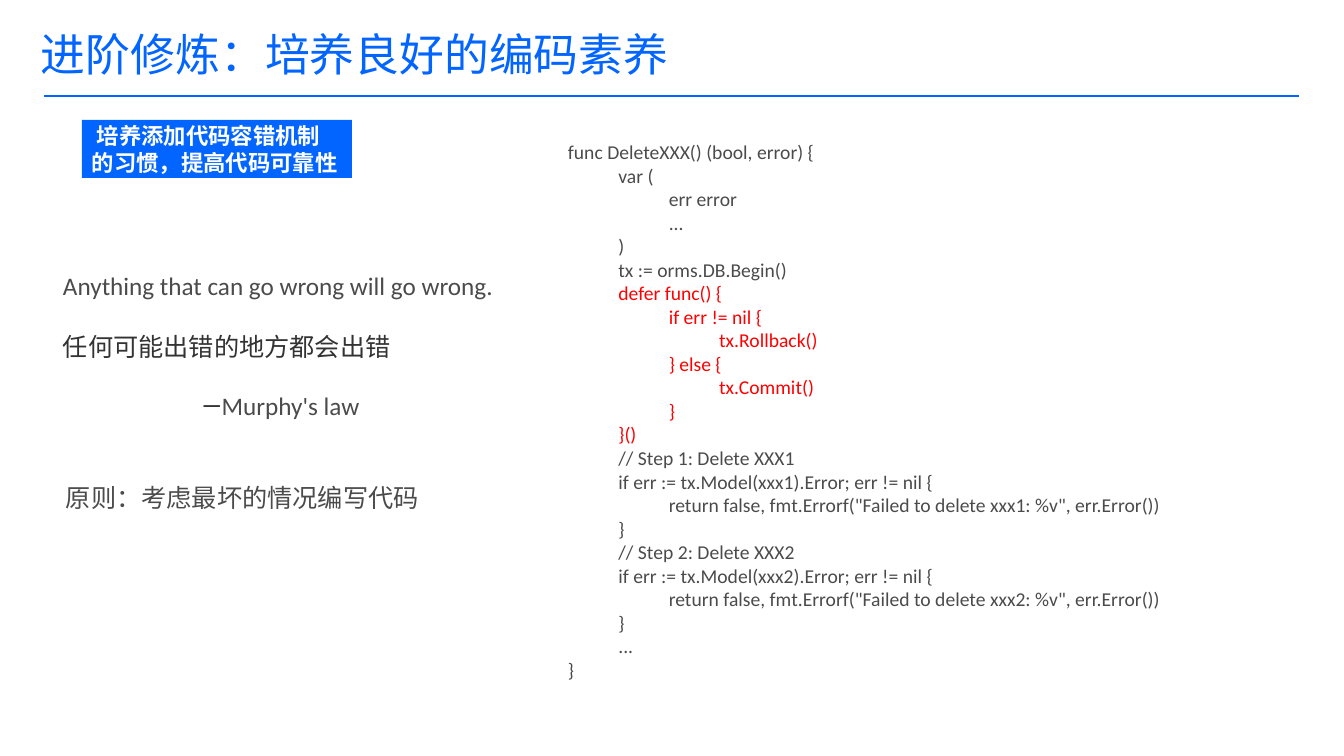
"""Build the slide on error tolerance as a coding habit."""
from lxml import etree
from pptx import Presentation
from pptx.dml.color import RGBColor
from pptx.enum.shapes import MSO_CONNECTOR, MSO_SHAPE
from pptx.enum.text import MSO_ANCHOR, MSO_AUTO_SIZE, PP_ALIGN
from pptx.oxml.ns import qn
from pptx.util import Emu, Pt

LEFT = PP_ALIGN.LEFT
TOP, MIDDLE = MSO_ANCHOR.TOP, MSO_ANCHOR.MIDDLE
NO_FIT = MSO_AUTO_SIZE.NONE
RECTANGLE, STRAIGHT = MSO_SHAPE.RECTANGLE, MSO_CONNECTOR.STRAIGHT
TITLE_ONLY = 5
EMU_PER_PX = 914400 / 100.8

BLUE, GREY, DARK, RED, WHITE = "0265FF", "4B4B4B", "333333", "FF0000", "FFFFFF"

TITLE = "进阶修炼：培养良好的编码素养"
LABEL = " 培养添加代码容错机制的习惯，提高代码可靠性"
PRINCIPLE = "原则：考虑最坏的情况编写代码"
SAYING = "Anything that can go wrong will go wrong."
TRANSLATION = "任何可能出错的地方都会出错"
DASH, AUTHOR = "—", "Murphy's law"

CODE = [
    (GREY, [
        "func DeleteXXX() (bool, error) {",
        "\tvar (",
        "\t\terr error",
        "\t\t...",
        "\t)",
        "\ttx := orms.DB.Begin()",
    ]),
    (RED, [
        "\tdefer func() {",
        "\t\tif err != nil {",
        "\t\t\ttx.Rollback()",
        "\t\t} else {",
        "\t\t\ttx.Commit()",
        "\t\t}",
        "\t}()",
    ]),
    (GREY, [
        "\t// Step 1: Delete XXX1",
        "\tif err := tx.Model(xxx1).Error; err != nil {",
        "\t\treturn false, fmt.Errorf(\"Failed to delete xxx1: %v\", err.Error())",
        "\t}",
        "\t// Step 2: Delete XXX2",
        "\tif err := tx.Model(xxx2).Error; err != nil {",
        "\t\treturn false, fmt.Errorf(\"Failed to delete xxx2: %v\", err.Error())",
        "\t}",
        "\t...",
        "}",
    ]),
]


def px(length):
    return Emu(round(length * EMU_PER_PX))


def color(hex_text):
    return RGBColor.from_string(hex_text)


def style(font, size, hex_text, name="Calibri", bold=False):
    font.size, font.name, font.bold = Pt(size), name, bold
    font.color.rgb = color(hex_text)


def set_frame(shape, anchor, inset, wrap=True):
    frame = shape.text_frame
    frame.auto_size, frame.word_wrap = NO_FIT, wrap
    frame.vertical_anchor = anchor
    frame.margin_left = frame.margin_right = px(inset)
    frame.margin_top = frame.margin_bottom = px(5)
    return frame


def add_text_box(slide, place, wrap):
    box = slide.shapes.add_textbox(*map(px, place))
    return set_frame(box, TOP, 10, wrap)


def write(frame, texts, size, hex_text, name="Calibri", bold=False):
    for text in texts:
        para = frame.paragraphs[0]
        if para.runs:
            para = frame.add_paragraph()
        para.alignment = LEFT
        para.add_run().text = text
        style(para.font, size, hex_text, name, bold)
    return para


def add_title(slide):
    title = slide.shapes.title
    title.left, title.top, title.width, title.height = map(px, (36, 17, 994, 80))
    para = write(set_frame(title, MIDDLE, 5), [TITLE], 32, BLUE)
    para.line_spacing = 0.9
    rule = slide.shapes.add_connector(STRAIGHT, *map(px, (44, 96, 1299, 96)))
    rule.line.color.rgb, rule.line.width = color(BLUE), Pt(1)
    etree.SubElement(rule._element.spPr, qn("a:effectLst"))


def add_label(slide):
    label = slide.shapes.add_shape(RECTANGLE, *map(px, (82, 120, 270, 58)))
    label.shadow.inherit = False
    label.fill.solid()
    label.fill.fore_color.rgb = color(BLUE)
    label.line.fill.background()
    write(set_frame(label, MIDDLE, 10), [LABEL], 16, WHITE, "Noto Sans CJK SC", True)


def add_quote(slide):
    frame = add_text_box(slide, (53, 265, 499, 163), False)
    write(frame, [SAYING], 18, GREY)
    translation = write(frame, [TRANSLATION], 18, DARK, "Roboto")
    translation.space_before = Pt(22)
    credit = write(frame, [DASH], 18, DARK, "Roboto")
    credit.space_before = Pt(21)
    credit._p.get_or_add_pPr().set("marL", str(px(139)))
    author = credit.add_run()
    author.text = AUTHOR
    style(author.font, 18, GREY)


def main():
    deck = Presentation()
    deck.slide_width, deck.slide_height = px(1344), px(756)
    slide = deck.slides.add_slide(deck.slide_layouts[TITLE_ONLY])
    add_title(slide)
    add_label(slide)
    code = add_text_box(slide, (558, 135, 741, 556), True)
    for hex_text, lines in CODE:
        write(code, lines, 14, hex_text)
    add_quote(slide)
    write(add_text_box(slide, (56, 477, 377, 40), False), [PRINCIPLE], 18, GREY)
    deck.save("out.pptx")


if __name__ == "__main__":
    main()
